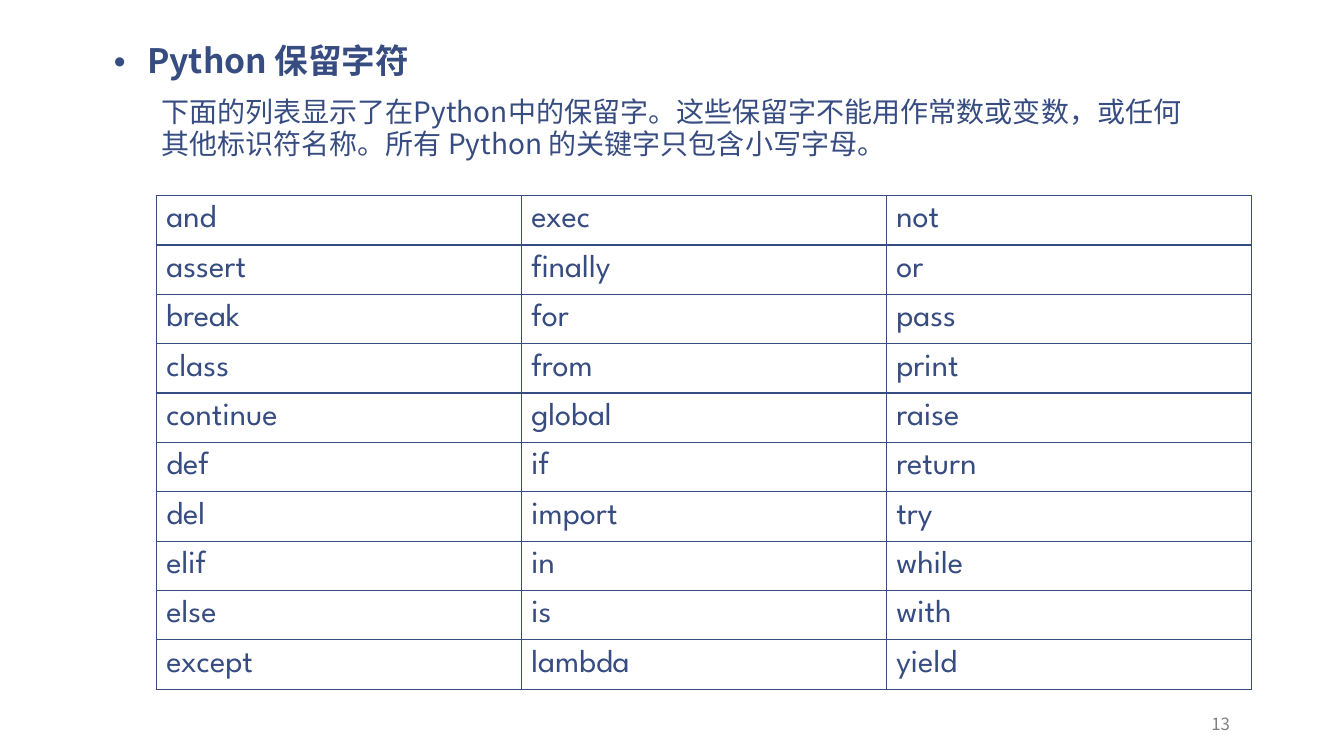
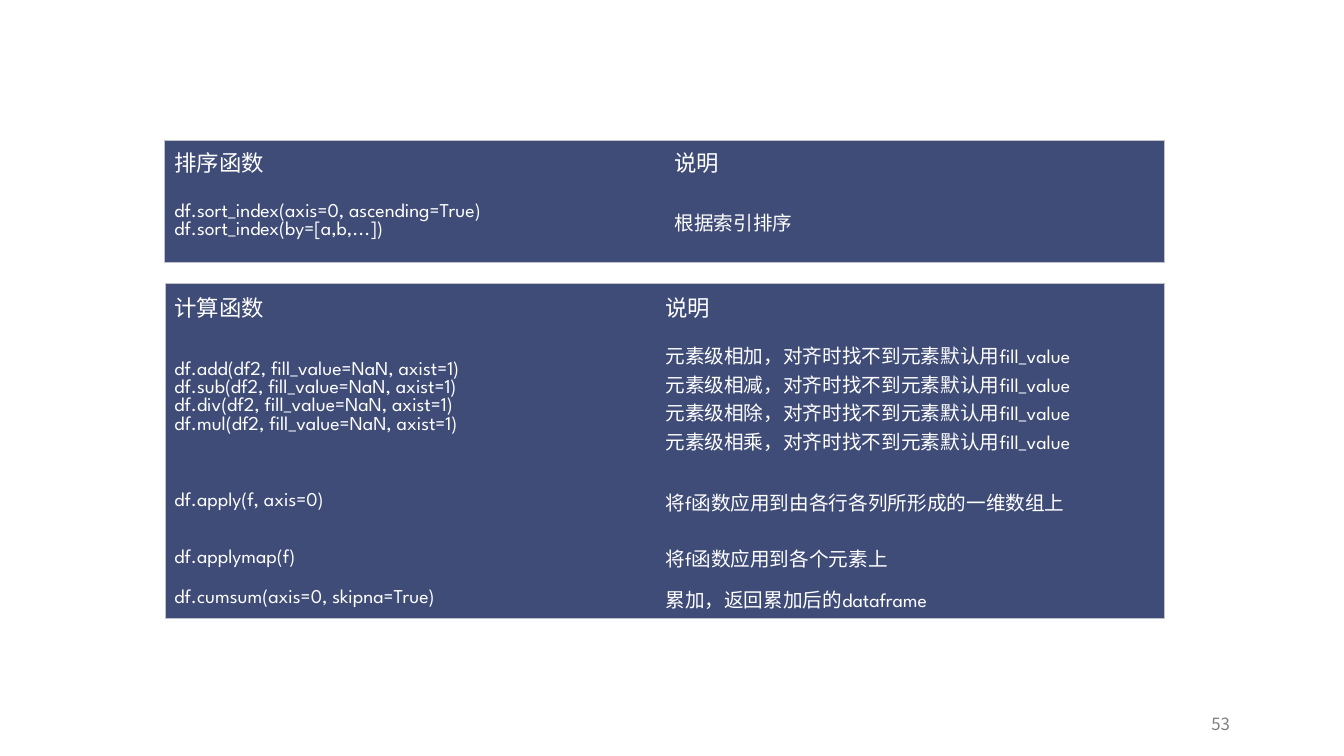
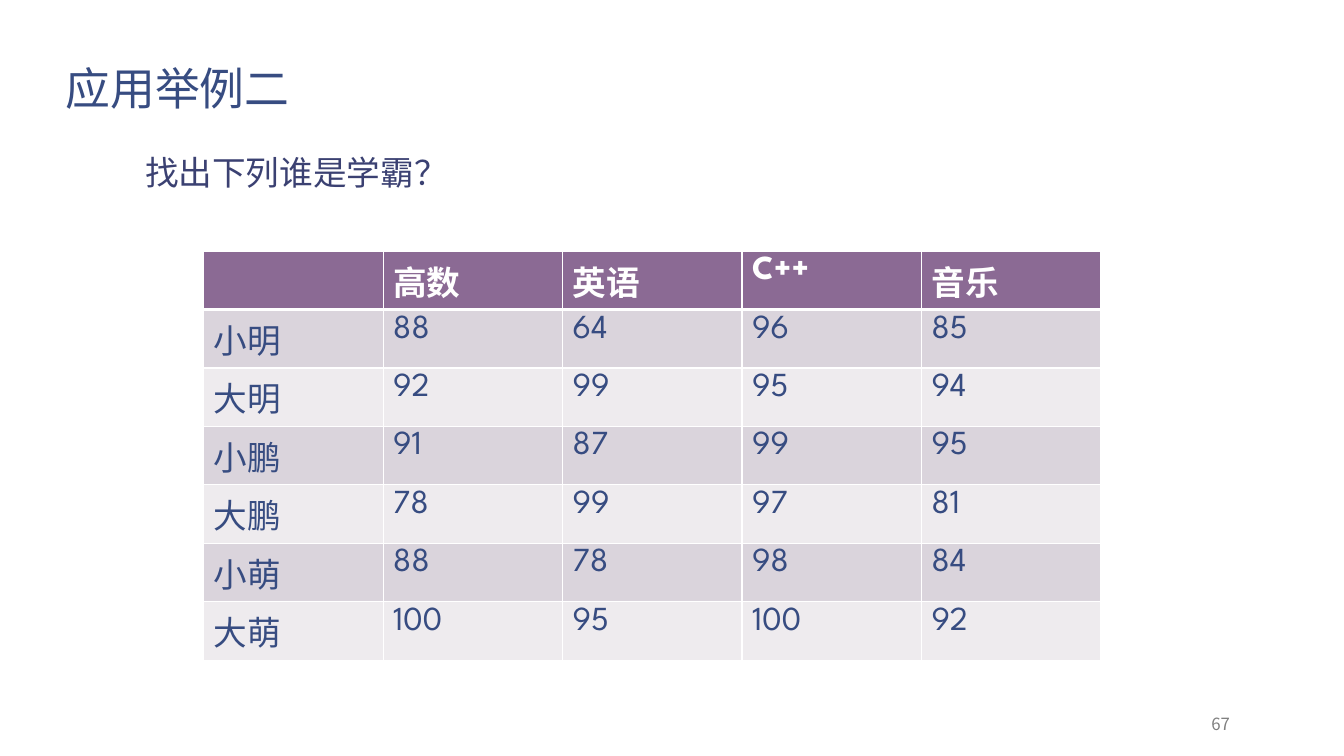
from dataclasses import dataclass

from lxml import etree
from pptx import Presentation
from pptx.dml.color import RGBColor
from pptx.enum.text import MSO_ANCHOR, PP_ALIGN
from pptx.oxml.ns import qn
from pptx.util import Inches, Pt

TOP, MIDDLE, BOTTOM = MSO_ANCHOR.TOP, MSO_ANCHOR.MIDDLE, MSO_ANCHOR.BOTTOM
LEFT, RIGHT = PP_ALIGN.LEFT, PP_ALIGN.RIGHT


@dataclass(frozen=True)
class Theme:
    # Fonts
    cjk: str = "Noto Sans CJK SC"
    latin: str = "League Spartan"
    # Colours
    navy: str = "374C81"
    question: str = "3B4172"
    panel: str = "3F4C78"
    panel_edge: str = "C0C2CA"
    header: str = "8B6A94"
    bands: tuple = ("DAD4DC", "EEEBEE")
    white: str = "FFFFFF"
    grey: str = "808080"
    # Type sizes
    title: int = 32
    heading: int = 24
    body: int = 20
    keyword: int = 23
    panel_head: int = 16
    panel_body: int = 14
    footer: int = 12


THEME = Theme()

KEYWORDS = (
    "and exec not", "assert finally or", "break for pass",
    "class from print", "continue global raise", "def if return",
    "del import try", "elif in while", "else is with",
    "except lambda yield",
)

SORTING = (
    ("排序函数", "说明"),
    ("df.sort_index(axis=0, ascending=True)\ndf.sort_index(by=[a,b,...])",
     "根据索引排序"),
)

ARITHMETIC = (("add", "加"), ("sub", "减"), ("div", "除"), ("mul", "乘"))

CALCULATION = (
    ("计算函数", "说明"),
    ("\n".join(f"df.{name}(df2, fill_value=NaN, axist=1)"
               for name, _ in ARITHMETIC),
     "\n".join(f"元素级相{sign}，对齐时找不到元素默认用fill_value"
               for _, sign in ARITHMETIC)),
    ("df.apply(f, axis=0)", "将f函数应用到由各行各列所形成的一维数组上"),
    ("df.applymap(f)", "将f函数应用到各个元素上"),
    ("df.cumsum(axis=0, skipna=True)", "累加，返回累加后的dataframe"),
)

SCORES = (
    ("", "高数", "英语", "C++", "音乐"),
    ("小明", "88", "64", "96", "85"),
    ("大明", "92", "99", "95", "94"),
    ("小鹏", "91", "87", "99", "95"),
    ("大鹏", "78", "99", "97", "81"),
    ("小萌", "88", "78", "98", "84"),
    ("大萌", "100", "95", "100", "92"),
)


# Text
def style_para(para, size, color, face=THEME.cjk, bold=False):
    font = para.font
    font.size, font.bold, font.name = Pt(size), bold, face
    font.color.rgb = RGBColor.from_string(color)
    properties = para._p.get_or_add_pPr().find(qn("a:defRPr"))
    etree.SubElement(properties, qn("a:ea"), typeface=THEME.cjk)


def indent_para(para, margin, hanging=0, bullet=None):
    properties = para._p.get_or_add_pPr()
    properties.set("marL", str(Inches(margin)))
    properties.set("indent", str(-Inches(hanging)))
    if bullet:
        etree.SubElement(properties, qn("a:buFont"), typeface="Arial")
        etree.SubElement(properties, qn("a:buChar"), char=bullet)


def add_text(page, left, top, width, height, text, size, color,
             bold=False, anchor=TOP, align=LEFT, spacing=None):
    """Add a one-paragraph text box and return its frame."""
    box = page.shapes.add_textbox(
        Inches(left), Inches(top), Inches(width), Inches(height))
    frame = box.text_frame
    frame.word_wrap = True
    frame.vertical_anchor = anchor
    frame.margin_left = frame.margin_right = Inches(0.13)
    frame.margin_top = frame.margin_bottom = Inches(0.07)
    para = frame.paragraphs[0]
    para.text, para.alignment, para.line_spacing = text, align, spacing
    style_para(para, size, color, bold=bold)
    return frame


def add_page(deck, number):
    page = deck.slides.add_slide(deck.slide_layouts[6])
    add_text(page, 11.12, 7, 1.21, 0.35, str(number), THEME.footer,
             THEME.grey, anchor=BOTTOM, align=RIGHT)
    return page


# Tables
def set_borders(cell, edges):
    """Draw the L, R, T and B edges given as (colour, points), hide others."""
    properties = cell._tc.get_or_add_tcPr()
    for side in "LRTB":
        color, width = edges.get(side, (None, 0))
        line = etree.SubElement(
            properties, qn(f"a:ln{side}"), w=str(Pt(width)))
        if color:
            fill = etree.SubElement(line, qn("a:solidFill"))
            etree.SubElement(fill, qn("a:srgbClr"), val=color)
        else:
            etree.SubElement(line, qn("a:noFill"))


def all_edges(color, width):
    return dict.fromkeys("LRTB", (color, width))


def outer_edges(row, column, row_count, column_count, edge):
    on_rim = {"L": column == 0, "R": column == column_count - 1,
              "T": row == 0, "B": row == row_count - 1}
    return {side: edge for side, shown in on_rim.items() if shown}


def fill_cell(cell, text, edges, fill, size, color, bold=False,
              anchor=MIDDLE, margins=(0.1, 0.05)):
    cell.vertical_anchor = anchor
    cell.margin_left = cell.margin_right = Inches(margins[0])
    cell.margin_top = cell.margin_bottom = Inches(margins[1])
    set_borders(cell, edges)
    if fill:
        cell.fill.solid()
        cell.fill.fore_color.rgb = RGBColor.from_string(fill)
    else:
        cell.fill.background()
    cell.text = text
    for para in cell.text_frame.paragraphs:
        style_para(para, size, color, THEME.latin, bold)


def add_grid(page, left, top, widths, heights, rows, cell_style):
    """Add a table; cell_style(row, column) gives each cell's look."""
    frame = page.shapes.add_table(
        len(heights), len(widths), Inches(left), Inches(top),
        Inches(sum(widths)), Inches(sum(heights)))
    table = frame.table
    table.first_row = table.horz_banding = False
    for column, width in zip(table.columns, widths):
        column.width = Inches(width)
    for row, height in zip(table.rows, heights):
        row.height = Inches(height)
    for row, texts in enumerate(rows):
        for column, text in enumerate(texts):
            fill_cell(table.cell(row, column), text,
                      **cell_style(row, column))


def add_panel(page, left, top, widths, heights, rows, margins):
    """Add a dark function list with a thin outline."""
    def panel_style(row, column):
        return dict(
            edges=outer_edges(row, column, len(heights), len(widths),
                              (THEME.panel_edge, 0.5)),
            fill=THEME.panel, color=THEME.white, margins=margins,
            size=THEME.panel_body if row else THEME.panel_head)

    add_grid(page, left, top, widths, heights, rows, panel_style)


# Slides
def build_keywords(deck):
    page = add_page(deck, 13)
    frame = add_text(page, 1, 0.36, 11.11, 1.4, "", THEME.heading, THEME.navy,
                     bold=True, spacing=0.95)
    frame.clear()
    heading = frame.paragraphs[0]
    explanation = frame.add_paragraph()
    heading.text = "Python 保留字符"
    explanation.text = (
        "下面的列表显示了在Python中的保留字。这些保留字不能用作常数或变数，"
        "或任何其他标识符名称。所有 Python 的关键字只包含小写字母。")
    heading.line_spacing = explanation.line_spacing = 0.95
    explanation.space_before = Pt(10.7)
    for old in heading._p.pPr.findall(qn("a:defRPr")):
        heading._p.pPr.remove(old)
    indent_para(heading, 0.33, 0.33, "•")
    indent_para(explanation, 0.47)
    style_para(heading, THEME.heading, THEME.navy, bold=True)
    style_para(explanation, THEME.body, THEME.navy)

    def keyword_style(row, column):
        return dict(edges=all_edges(THEME.navy, 1), fill=None,
                    size=THEME.keyword, color=THEME.navy)

    rows = [line.split() for line in KEYWORDS]
    add_grid(page, 1.55, 1.94, [3.62] * 3, [0.49] * len(rows), rows,
             keyword_style)


def build_functions(deck):
    page = add_page(deck, 53)
    add_panel(page, 1.63, 1.39, [4.96, 4.96], [0.41, 0.8], SORTING,
              (0.1, 0.05))
    add_panel(page, 1.64, 2.81, [4.87, 5.04], [0.47, 1.34, 0.72, 0.4, 0.4],
              CALCULATION, (0.09, 0.04))


def build_scores(deck):
    page = add_page(deck, 67)
    add_text(page, 0.52, 0.36, 11.11, 0.85, "应用举例二", THEME.title,
             THEME.navy, anchor=BOTTOM, spacing=0.85)
    add_text(page, 1.31, 1.47, 11.11, 0.7, "找出下列谁是学霸？",
             THEME.heading, THEME.question, spacing=0.95)

    def score_style(row, column):
        edges = all_edges(THEME.white, 1)
        if row == 0:
            edges["B"] = (THEME.white, 3)
        elif row == 1:
            edges["T"] = (THEME.white, 3)
        return dict(edges=edges, size=THEME.heading, anchor=TOP,
                    bold=row == 0,
                    fill=THEME.bands[(row - 1) % 2] if row else THEME.header,
                    color=THEME.navy if row else THEME.white)

    add_grid(page, 2.02, 2.49, [1.78] * 5, [0.58] * len(SCORES), SCORES,
             score_style)


def main():
    deck = Presentation()
    deck.slide_width, deck.slide_height = Inches(13.33), Inches(7.5)
    build_keywords(deck)
    build_functions(deck)
    build_scores(deck)
    deck.save("out.pptx")


if __name__ == "__main__":
    main()
